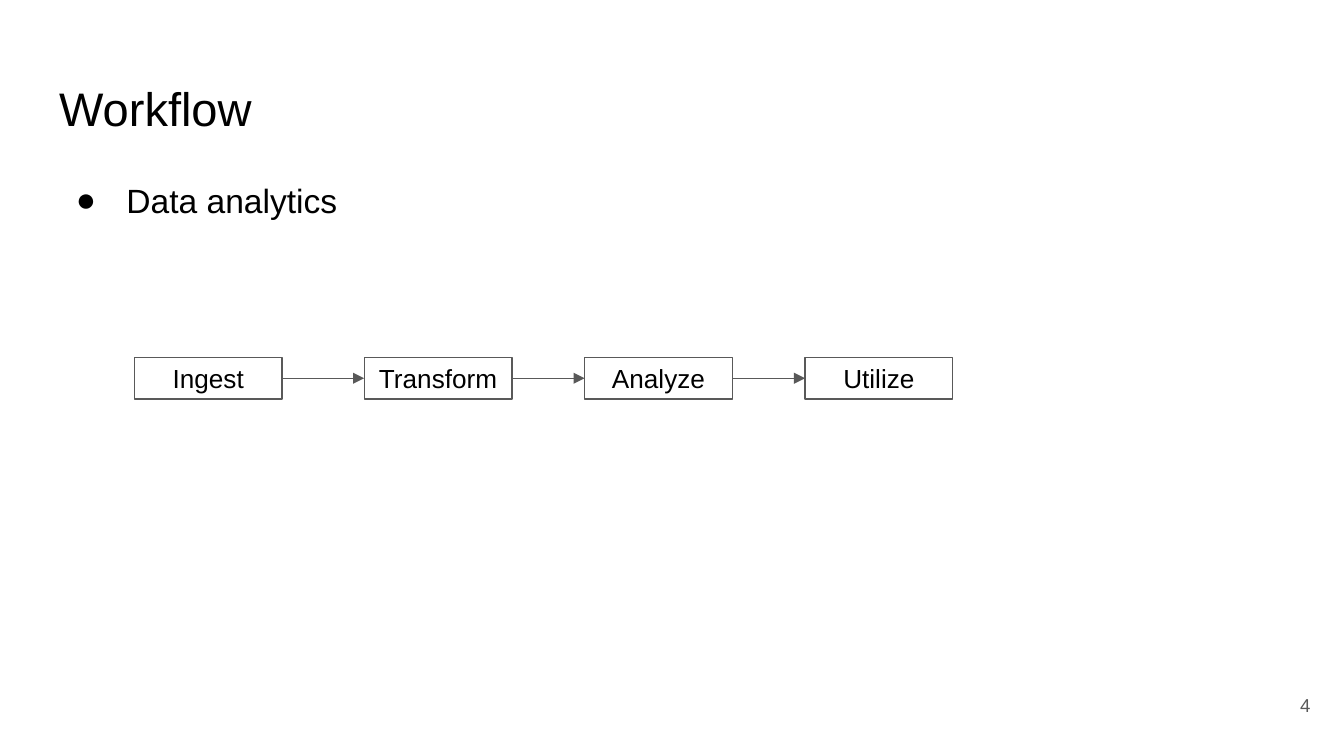
from lxml import etree
from pptx import Presentation
from pptx.dml.color import RGBColor
from pptx.enum.shapes import MSO_CONNECTOR, MSO_SHAPE
from pptx.enum.text import MSO_ANCHOR, MSO_AUTO_SIZE, PP_ALIGN
from pptx.oxml.ns import qn
from pptx.util import Pt

LEFT, CENTER, RIGHT = PP_ALIGN.LEFT, PP_ALIGN.CENTER, PP_ALIGN.RIGHT
TOP, MIDDLE = MSO_ANCHOR.TOP, MSO_ANCHOR.MIDDLE
NO_AUTOFIT = MSO_AUTO_SIZE.NONE
RECTANGLE, CURVE = MSO_SHAPE.RECTANGLE, MSO_CONNECTOR.CURVE

FONT = "Arial"
BLACK, WHITE, GRAY = "000000", "FFFFFF", "595959"
INSET = 7.2
LINE_WIDTH = 0.75


def rgb(color):
    return RGBColor.from_string(color)


def place(sp, left, top, width, height):
    sp.left, sp.top, sp.width, sp.height = Pt(left), Pt(top), Pt(width), Pt(height)


def write(sp, text, size, color=BLACK, align=LEFT, anchor=TOP):
    tf = sp.text_frame
    tf.auto_size = NO_AUTOFIT
    tf.word_wrap = True
    tf.vertical_anchor = anchor
    tf.margin_left = tf.margin_right = tf.margin_top = tf.margin_bottom = Pt(INSET)
    tf.text = text
    p = tf.paragraphs[0]
    p.alignment = align
    p.space_before = Pt(0)
    font = p.runs[0].font
    font.name, font.size = FONT, Pt(size)
    font.color.rgb = rgb(color)
    return p


def add_bullet(p, indent, hanging):
    pPr = p._p.get_or_add_pPr()
    pPr.set("marL", str(Pt(indent)))
    pPr.set("indent", str(-Pt(hanging)))
    buClr = etree.SubElement(pPr, qn("a:buClr"))
    etree.SubElement(buClr, qn("a:srgbClr"), val=BLACK)
    etree.SubElement(pPr, qn("a:buFont"), typeface=FONT)
    etree.SubElement(pPr, qn("a:buChar"), char="●")


def add_title(slide, text, box):
    title = slide.shapes.title
    place(title, *box)
    write(title, text, 25.2)


def add_body(slide, text, box):
    body = slide.placeholders[1]
    place(body, *box)
    p = write(body, text, 18)
    p.line_spacing = 1.15
    add_bullet(p, 36, 27)


def add_page_number(slide, number, box):
    sp = slide.shapes.add_textbox(*map(Pt, box))
    write(sp, number, 10, GRAY, RIGHT, MIDDLE)


def add_step(slide, label, box):
    sp = slide.shapes.add_shape(RECTANGLE, *map(Pt, box))
    sp.shadow.inherit = False
    sp.fill.solid()
    sp.fill.fore_color.rgb = rgb(WHITE)
    sp.line.color.rgb = rgb(GRAY)
    sp.line.width = Pt(LINE_WIDTH)
    write(sp, label, 14, align=CENTER, anchor=MIDDLE)
    return sp


def add_arrow(slide, start, end):
    arrow = slide.shapes.add_connector(CURVE, 0, 0, 0, 0)
    arrow.begin_connect(start, 3)
    arrow.end_connect(end, 1)
    arrow.line.color.rgb = rgb(GRAY)
    arrow.line.width = Pt(LINE_WIDTH)
    etree.SubElement(arrow.line._get_or_add_ln(), qn("a:tailEnd"), type="triangle")
    etree.SubElement(arrow._element.spPr, qn("a:effectLst"))


def add_workflow(slide, labels, box):
    left, top, width, height = box
    step_width, gap = 79.2, 38.88
    first_gap = width - len(labels) * step_width - (len(labels) - 2) * gap
    steps = []
    x = left
    for i, label in enumerate(labels):
        steps.append(add_step(slide, label, (x, top, step_width, height)))
        x += step_width + (gap if i else first_gap)
    for start, end in zip(steps, steps[1:]):
        add_arrow(slide, start, end)


def main():
    prs = Presentation()
    prs.slide_width, prs.slide_height = Pt(720), Pt(405)
    slide = prs.slides.add_slide(prs.slide_layouts[1])

    # Heading and list
    add_title(slide, "Workflow", (24.5, 35.3, 671, 45.4))
    add_body(slide, "Data analytics", (24.5, 85.7, 671, 55.4))

    # Page number
    add_page_number(slide, "4", (666, 362.2, 43.2, 31))

    # Workflow steps joined by arrows
    labels = ["Ingest", "Transform", "Analyze", "Utilize"]
    add_workflow(slide, labels, (72, 191.5, 438.5, 22.3))

    prs.save("out.pptx")


if __name__ == "__main__":
    main()
